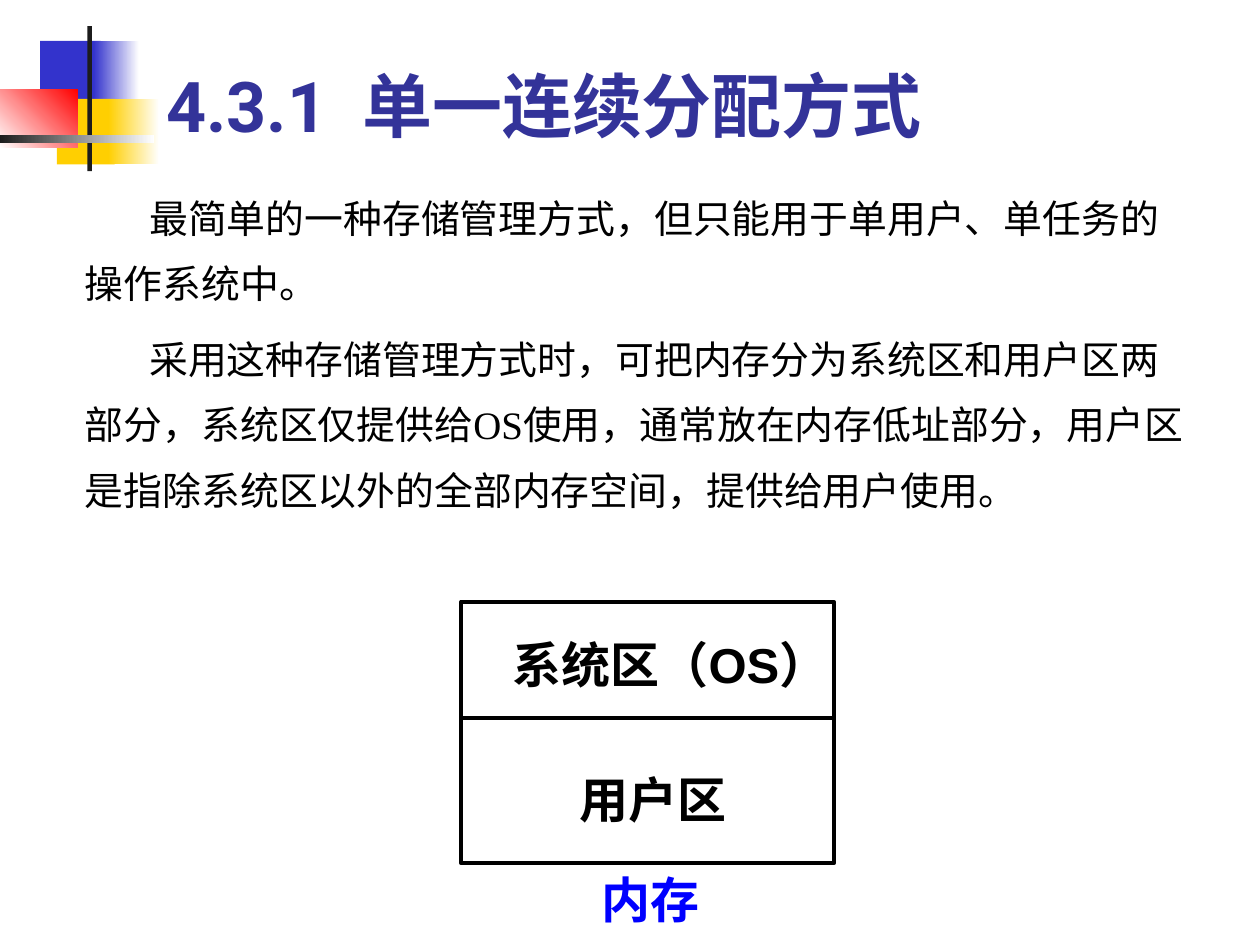
from lxml import etree
from pptx import Presentation
from pptx.dml.color import RGBColor
from pptx.enum import shapes, text
from pptx.oxml import ns
from pptx.util import Pt

HUES = {
    "blue": "3333CC", "gold": "FFCF01", "red": "FF0000", "dark": "1C1C1C",
    "white": "FFFFFF", "title": "333399", "black": "000000", "label": "0000FF",
}


def hue(name):
    return RGBColor.from_string(HUES[name])


def write(slide, box, words, size, font, color="black", bold=False,
          anchor=text.MSO_ANCHOR.TOP, line=None, gap=0, left=0, indent=0):
    frame = slide.shapes.add_textbox(*map(Pt, box)).text_frame
    frame.word_wrap = True
    frame.vertical_anchor = anchor
    for i, part in enumerate(words.split("\n")):
        para = frame.paragraphs[0] if i == 0 else frame.add_paragraph()
        props = para._p.get_or_add_pPr()
        props.set("marL", str(Pt(left)))
        props.set("indent", str(Pt(indent)))
        if line:
            para.line_spacing = line
        if i:
            para.space_before = Pt(gap)
        run = para.add_run()
        run.text = part
        run.font.size = Pt(size)
        run.font.name = font
        run.font.bold = bold
        run.font.color.rgb = hue(color)


def block(slide, box, start=None, end=None, angle=0):
    shape = slide.shapes.add_shape(shapes.MSO_SHAPE.RECTANGLE, *map(Pt, box))
    shape.shadow.inherit = False
    shape.line.fill.background()
    if end:
        shape.fill.gradient()
        shape.fill.gradient_angle = angle
        for stop, name, pos in zip(shape.fill.gradient_stops, (start, end), (0, 1)):
            stop.color.rgb = hue(name)
            stop.position = pos
    elif start:
        shape.fill.solid()
        shape.fill.fore_color.rgb = hue(start)
    else:
        shape.fill.background()
    return shape


def motif(slide, x, y):
    parts = [
        (23, 8.3, 34.5, 37.5, "blue"),
        (53.5, 8.3, 26, 37.5, "blue", "white"),
        (32.5, 41.5, 33, 37.5, "gold"),
        (62, 41.5, 29, 37.5, "gold", "white"),
        (0, 36, 44.5, 33.3, "white", "red", 45),
        (50, 0, 2.5, 82.8, "dark"),
        (0, 62, 88, 4.5, "dark", "white"),
    ]
    for dx, dy, w, h, *paint in parts:
        block(slide, (x + dx, y + dy, w, h), *paint)


def memory(slide, x, y, w, h):
    frame = block(slide, (x, y, w, h))
    split = y + 66.5
    rule = slide.shapes.add_connector(
        shapes.MSO_CONNECTOR.STRAIGHT, Pt(x), Pt(split), Pt(x + w), Pt(split))
    etree.SubElement(rule._element.spPr, ns.qn("a:effectLst"))
    for item in (frame, rule):
        item.line.color.rgb = hue("black")
        item.line.width = Pt(2.25)
    labels = [
        (22.5, 15.5, 208, "系统区（OS）", "black"),
        (60.5, 92.5, 110, "用户区", "black"),
        (73, 149.5, 104, "内存", "label"),
    ]
    for dx, dy, wide, words, color in labels:
        write(slide, (x + dx, y + dy, wide, 41), words, 28, "Arial",
              color=color, bold=True)


def main():
    deck = Presentation()
    deck.slide_width, deck.slide_height = Pt(720), Pt(540)
    slide = deck.slides.add_slide(deck.slide_layouts[6])
    motif(slide, 0, 15)
    write(slide, (88, 31.5, 613.5, 55.5), "4.3.1  单一连续分配方式", 40, "Roboto",
          color="title", bold=True, anchor=text.MSO_ANCHOR.BOTTOM)
    write(slide, (14.4, 97, 669, 198.7),
          "最简单的一种存储管理方式，但只能用于单用户、单任务的操作系统中。\n"
          "采用这种存储管理方式时，可把内存分为系统区和用户区两部分，"
          "系统区仅提供给OS使用，通常放在内存低址部分，"
          "用户区是指除系统区以外的全部内存空间，提供给用户使用。",
          22.2, "Times New Roman", line=1.4, gap=6, left=27, indent=36.8)
    memory(slide, 263.5, 343.8, 213, 149.5)
    deck.save("out.pptx")


if __name__ == "__main__":
    main()
